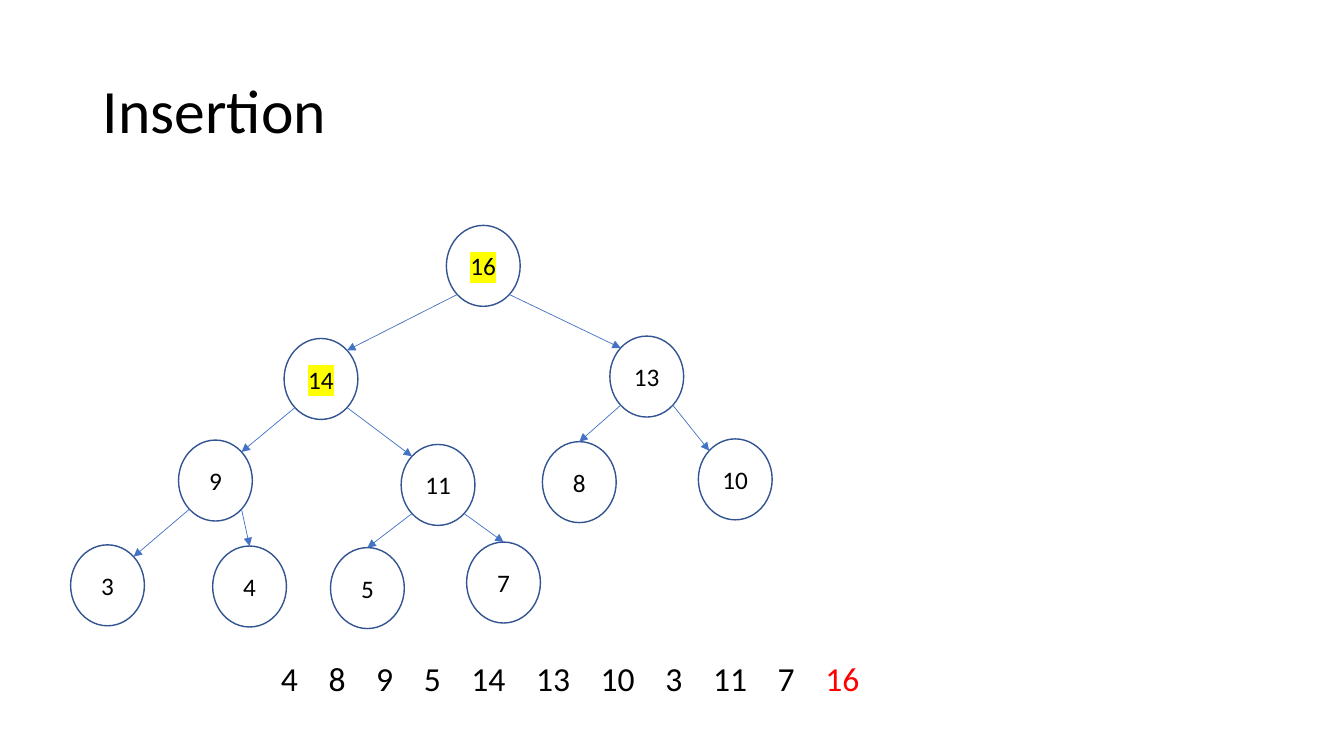
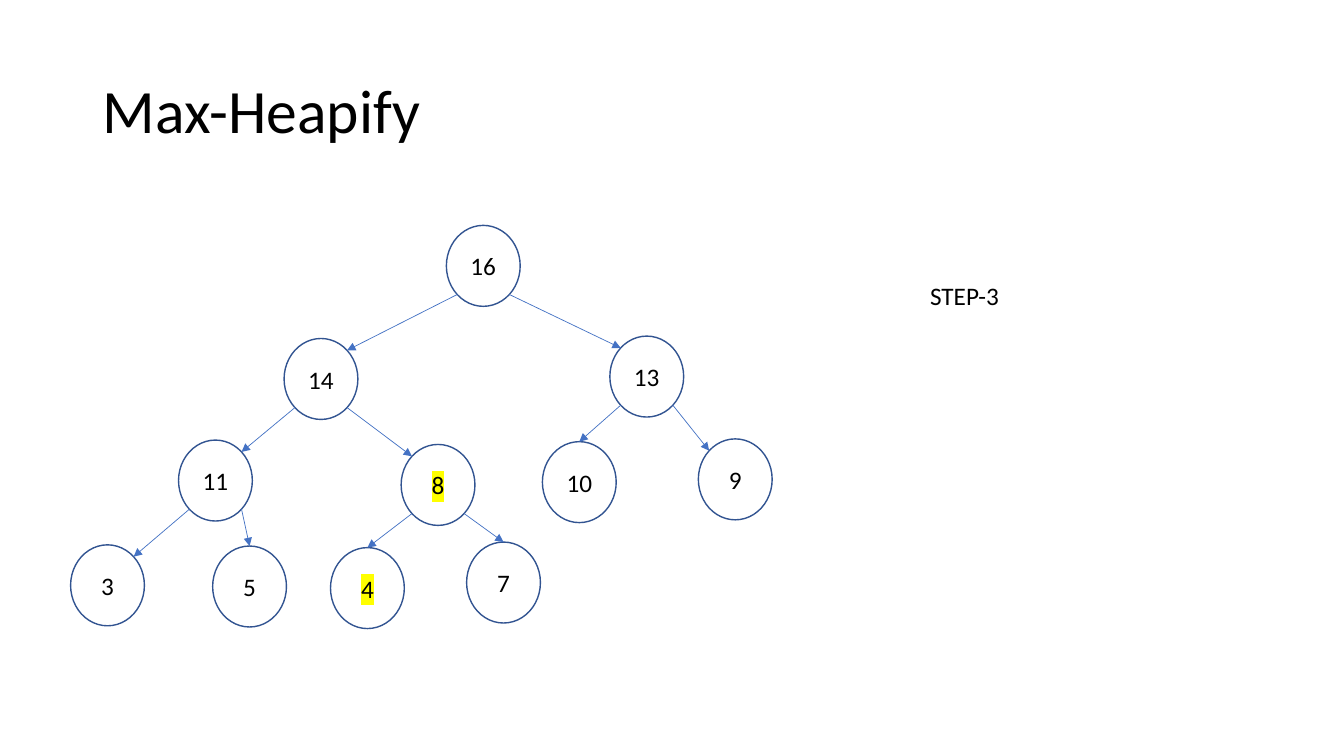
from dataclasses import dataclass
from itertools import accumulate
from math import sqrt

from lxml.etree import SubElement
from pptx import Presentation
from pptx.dml.color import RGBColor
from pptx.enum.shapes import MSO_CONNECTOR, MSO_SHAPE
from pptx.enum.text import MSO_ANCHOR, MSO_AUTO_SIZE, PP_ALIGN
from pptx.oxml.ns import qn
from pptx.util import Cm, Pt


@dataclass(frozen=True)
class Theme:
    font: str = "Calibri"
    text: RGBColor = RGBColor(0x00, 0x00, 0x00)
    accent: RGBColor = RGBColor(0xFF, 0x00, 0x00)
    outline: RGBColor = RGBColor(0x32, 0x54, 0x91)
    arrow: RGBColor = RGBColor(0x44, 0x72, 0xC4)
    highlight: str = "FFFF00"
    title_size: int = 44
    sequence_size: int = 24
    body_size: int = 18


THEME = Theme()

# Heaps are in level order: the children of node i are 2i + 1 and 2i + 2.
SLIDES = [
    {
        "title": "Insertion",
        "heap": [16, 14, 13, 9, 11, 8, 10, 3, 4, 5, 7],
        "marked": {16, 14},
        "sequence": [4, 8, 9, 5, 14, 13, 10, 3, 11, 7, 16],
    },
    {
        "title": "Max-Heapify",
        "heap": [16, 14, 13, 11, 8, 10, 9, 3, 5, 4, 7],
        "marked": {8, 4},
        "step": "STEP-3",
    },
]

# Left and top of each node in cm, and the side of its top where the arrow
# arrives: -1 upper left, 0 top, 1 upper right.
NODES = [
    (11.25, 5.68, 0),
    (7.16, 8.53, 1), (15.37, 8.47, -1),
    (4.5, 11.09, 1), (10.11, 11.2, -1), (13.67, 11.13, 0), (17.6, 11.06, -1),
    (1.78, 13.73, 1), (5.36, 13.76, 0), (8.33, 13.8, 0), (11.76, 13.66, 0),
]
NODE_W, NODE_H = 1.86, 2.04
TITLE_BOX = (2.34, 1.02, 29.21, 3.68)
SEQUENCE_BOX = (6.83, 16.46, 18.72, 1.27)
STEP_BOX = (23.19, 6.93, 4.65, 1.02)
DIGIT_W, GAP_W = 0.43, 0.77


def style(p, size, align=PP_ALIGN.LEFT):
    p.alignment = align
    p.font.name = THEME.font
    p.font.size = Pt(size)
    p.font.color.rgb = THEME.text


def add_title(slide, text):
    s = slide.shapes.title
    s.left, s.top, s.width, s.height = map(Cm, TITLE_BOX)
    tf = s.text_frame
    tf.text = text
    tf.vertical_anchor = MSO_ANCHOR.MIDDLE
    p = tf.paragraphs[0]
    p.line_spacing = 0.9
    style(p, THEME.title_size)


def add_node(slide, left, top, value, marked):
    s = slide.shapes.add_shape(MSO_SHAPE.OVAL, Cm(left), Cm(top), Cm(NODE_W), Cm(NODE_H))
    s.shadow.inherit = False
    s.fill.background()
    s.line.color.rgb = THEME.outline
    s.line.width = Pt(1)
    tf = s.text_frame
    tf.vertical_anchor = MSO_ANCHOR.MIDDLE
    p = tf.paragraphs[0]
    style(p, THEME.body_size, PP_ALIGN.CENTER)
    r = p.add_run()
    r.text = str(value)
    r.font.color.rgb = THEME.text
    if marked:
        highlight = SubElement(r.font._element, qn("a:highlight"))
        SubElement(highlight, qn("a:srgbClr"), val=THEME.highlight)


def rim_point(node, side, vertical):
    """Point on a node's rim; side and vertical are -1, 0 or 1."""
    left, top, _ = node
    reach = 1 / sqrt(2) if side else 1
    return (Cm(left + NODE_W / 2 * (1 + side * reach)),
            Cm(top + NODE_H / 2 * (1 + vertical * reach)))


def add_arrow(slide, child):
    parent_side = -1 if child % 2 else 1
    start = rim_point(NODES[(child - 1) // 2], parent_side, 1)
    end = rim_point(NODES[child], NODES[child][2], -1)
    s = slide.shapes.add_connector(MSO_CONNECTOR.STRAIGHT, *start, *end)
    s.line.color.rgb = THEME.arrow
    s.line.width = Pt(0.5)
    SubElement(s.line._get_or_add_ln(), qn("a:tailEnd"), type="triangle")
    SubElement(s._element.spPr, qn("a:effectLst"))


def add_text_box(slide, box):
    """Add an empty wrapping text box and return its paragraph."""
    tf = slide.shapes.add_textbox(*map(Cm, box)).text_frame
    tf.word_wrap = True
    tf.auto_size = MSO_AUTO_SIZE.SHAPE_TO_FIT_TEXT
    return tf.paragraphs[0]


def add_sequence(slide, values):
    """Write the values at tab stops, with the last one in the accent colour."""
    *earlier, newest = map(str, values)
    p = add_text_box(slide, SEQUENCE_BOX)
    tabs = SubElement(p._p.get_or_add_pPr(), qn("a:tabLst"))
    for stop in accumulate(len(v) * DIGIT_W + GAP_W for v in earlier):
        SubElement(tabs, qn("a:tab"), pos=str(Cm(stop)), algn="l")
    style(p, THEME.sequence_size)
    p.add_run().text = "\t".join(earlier) + "\t"
    r = p.add_run()
    r.text = newest
    r.font.color.rgb = THEME.accent


def add_step(slide, text):
    p = add_text_box(slide, STEP_BOX)
    p.text = text
    style(p, THEME.body_size)


def main():
    prs = Presentation()
    prs.slide_width, prs.slide_height = Cm(33.87), Cm(19.05)
    for content in SLIDES:
        slide = prs.slides.add_slide(prs.slide_layouts[5])
        add_title(slide, content["title"])
        for (left, top, _), value in zip(NODES, content["heap"]):
            add_node(slide, left, top, value, value in content["marked"])
        for child in range(1, len(NODES)):
            add_arrow(slide, child)
        if "sequence" in content:
            add_sequence(slide, content["sequence"])
        if "step" in content:
            add_step(slide, content["step"])
    prs.save("out.pptx")


if __name__ == "__main__":
    main()
